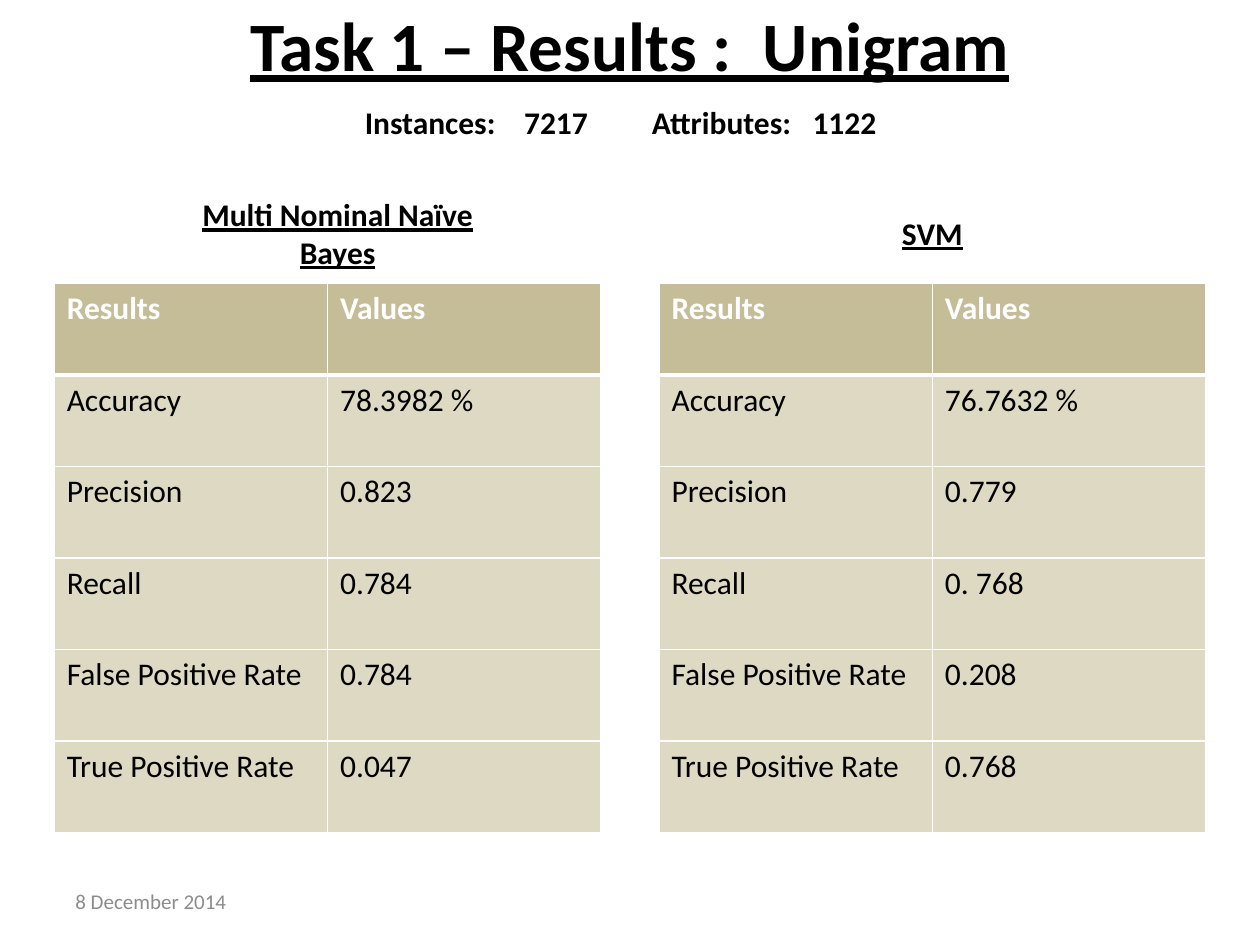
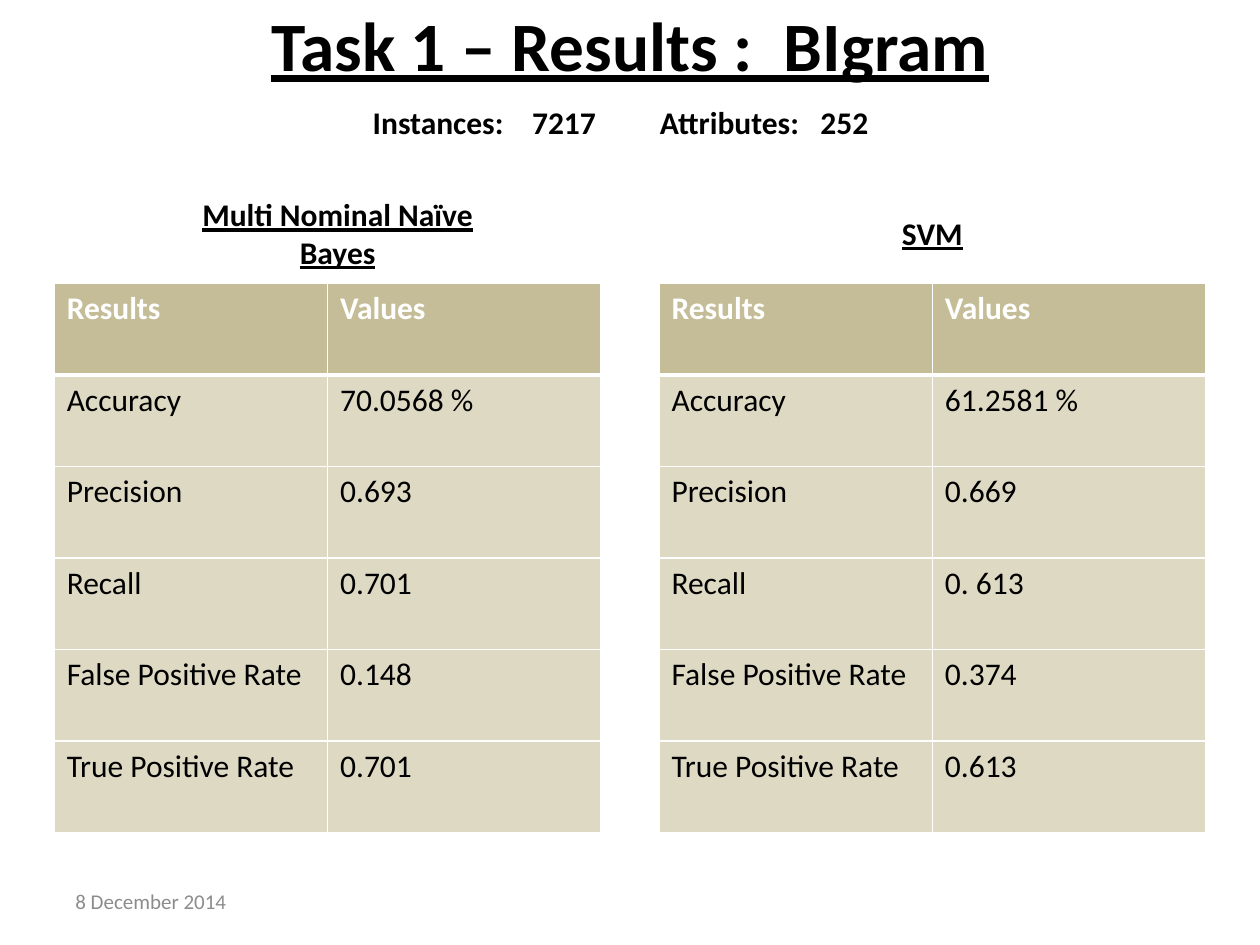
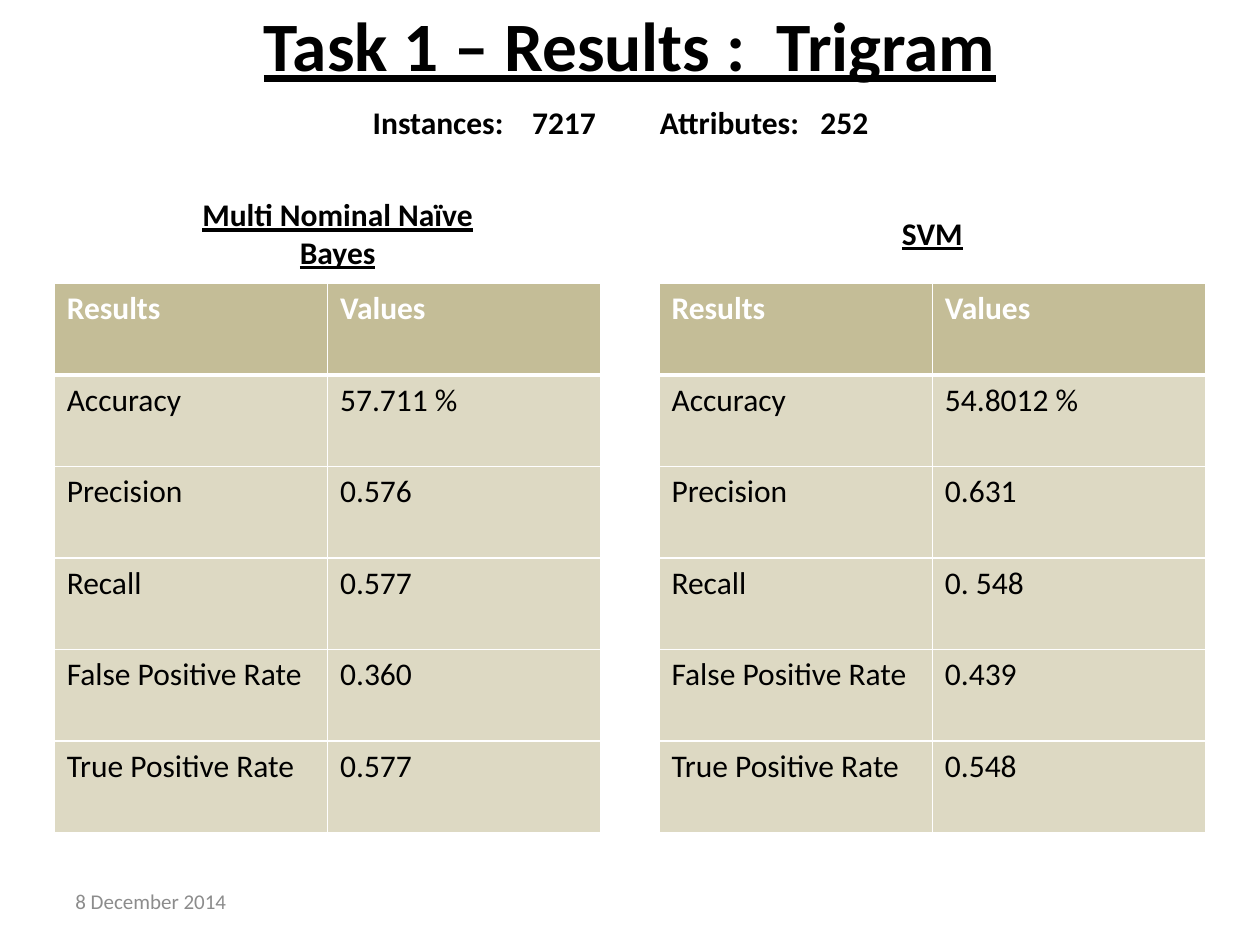
from lxml.etree import SubElement
from pptx import Presentation
from pptx.dml.color import RGBColor
from pptx.enum.text import MSO_ANCHOR, PP_ALIGN
from pptx.oxml.ns import qn
from pptx.util import Inches, Pt

BLACK = RGBColor(0x00, 0x00, 0x00)
WHITE = RGBColor(0xFF, 0xFF, 0xFF)
GRAY = RGBColor(0x8C, 0x8C, 0x8C)
TAN = RGBColor(0xC4, 0xBD, 0x97)
SAND = RGBColor(0xDD, 0xD9, 0xC3)

BASE = {"name": "Calibri", "size": Pt(18), "bold": False}
STRONG = {**BASE, "bold": True}
HEADING = {**STRONG, "underline": True}
TITLE = {**HEADING, "size": Pt(39.6)}
FOOTER = {**BASE, "size": Pt(12)}

MEASURES = ["Accuracy", "Precision", "Recall", "False Positive Rate", "True Positive Rate"]
TABLE_TOP, TABLE_WIDTH, TABLE_HEIGHT = 2.25, 4.34, 4.36
MODELS = [
    ("Multi Nominal Naïve Bayes", 0.43, (1.38, 1.5, 2.6, 0.71)),
    ("SVM", 5.23, (6.1, 1.65, 2.6, 0.4)),
]
RESULTS = [
    ("Unigram", "1122",
     ["78.3982 %", "0.823", "0.784", "0.784", "0.047"],
     ["76.7632 %", "0.779", "0. 768", "0.208", "0.768"]),
    ("BIgram", "252",
     ["70.0568 %", "0.693", "0.701", "0.148", "0.701"],
     ["61.2581 %", "0.669", "0. 613", "0.374", "0.613"]),
    ("Trigram", "252",
     ["57.711 %", "0.576", "0.577", "0.360", "0.577"],
     ["54.8012 %", "0.631", "0. 548", "0.439", "0.548"]),
]


def add_run(para, text, style, color=BLACK):
    run = para.add_run()
    run.text = text
    for key, value in style.items():
        setattr(run.font, key, value)
    run.font.color.rgb = color
    return run


def add_text(slide, box, text, style, color=BLACK, align=PP_ALIGN.CENTER,
             anchor=MSO_ANCHOR.TOP):
    frame = slide.shapes.add_textbox(*map(Inches, box)).text_frame
    frame.word_wrap = True
    frame.vertical_anchor = anchor
    para = frame.paragraphs[0]
    para.alignment = align
    add_run(para, text, style, color)
    return frame


def add_title(slide, text):
    frame = add_text(slide, (0.5, 0.3, 9, 0.77), text, TITLE, anchor=MSO_ANCHOR.MIDDLE)
    frame.margin_top = 0
    frame.margin_bottom = Inches(0.67)


def add_counts(slide, count):
    frame = add_text(slide, (1.15, 0.77, 7.55, 0.71), "Instances:", STRONG)
    para = frame.paragraphs[0]
    for gap, text in [(12.2, "7217"), (32.5, "Attributes:"), (8.1, count)]:
        space = add_run(para, " ", STRONG)
        space.font._element.set("spc", str(round(gap * 100)))
        add_run(para, text, STRONG)


def add_borders(cell, row):
    widths = {"L": 1, "R": 1, "T": 3 if row == 1 else 1, "B": 3 if row == 0 else 1}
    props = cell._tc.get_or_add_tcPr()
    for side, width in widths.items():
        line = SubElement(props, qn(f"a:ln{side}"), w=str(Pt(width)))
        fill = SubElement(line, qn("a:solidFill"))
        SubElement(fill, qn("a:srgbClr"), val=str(WHITE))


def add_results(slide, left, values):
    rows = [("Results", "Values"), *zip(MEASURES, values)]
    box = map(Inches, (left, TABLE_TOP, TABLE_WIDTH, TABLE_HEIGHT))
    table = slide.shapes.add_table(len(rows), 2, *box).table
    table.horz_banding = False
    for row, texts in enumerate(rows):
        fill, style, color = (SAND, BASE, BLACK) if row else (TAN, STRONG, WHITE)
        for col, text in enumerate(texts):
            cell = table.cell(row, col)
            add_borders(cell, row)
            cell.fill.solid()
            cell.fill.fore_color.rgb = fill
            add_run(cell.text_frame.paragraphs[0], text, style, color)


def add_footer(slide):
    add_text(slide, (0.5, 6.95, 2.33, 0.4), "8 December 2014", FOOTER, GRAY,
             PP_ALIGN.LEFT, MSO_ANCHOR.MIDDLE)


def main():
    deck = Presentation()
    deck.slide_width, deck.slide_height = Inches(10), Inches(7.5)
    for name, count, *scores in RESULTS:
        slide = deck.slides.add_slide(deck.slide_layouts[6])
        add_title(slide, f"Task 1 – Results :  {name}")
        for (model, left, box), values in zip(MODELS, scores):
            add_results(slide, left, values)
            add_text(slide, box, model, HEADING)
        add_footer(slide)
        add_counts(slide, count)
    deck.save("out.pptx")


main()
